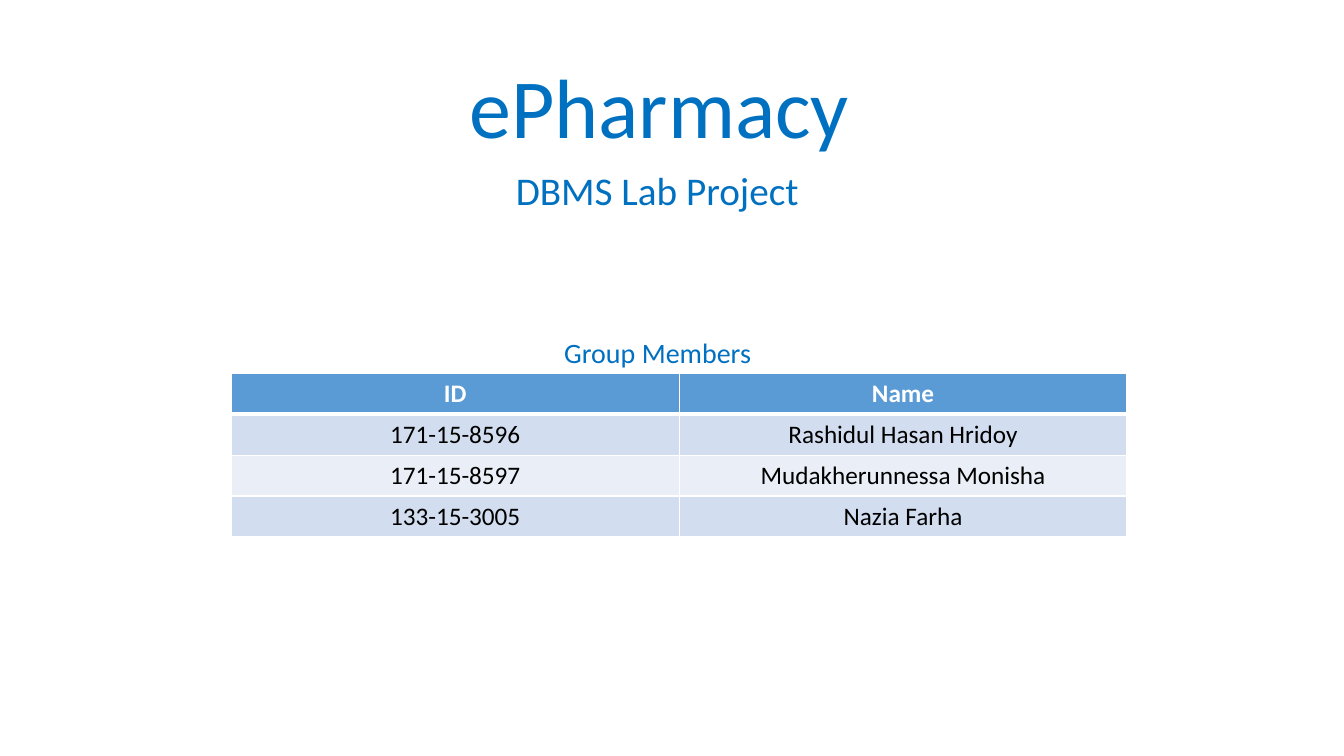
from dataclasses import dataclass

from lxml import etree
from pptx import Presentation
from pptx.dml.color import RGBColor
from pptx.enum.text import PP_ALIGN
from pptx.oxml.ns import qn
from pptx.util import Cm, Pt

CENTER = PP_ALIGN.CENTER
BLANK_LAYOUT = 6


@dataclass(frozen=True)
class Theme:
    font: str = "Calibri"
    heading: str = "0070C0"
    header_fill: str = "5B9BD5"
    header_text: str = "FFFFFF"
    body_text: str = "000000"
    bands: tuple = ("D2DEEF", "EAEFF7")
    border: str = "FFFFFF"
    border_width: float = 1
    header_rule_width: float = 3
    title_size: int = 60
    subtitle_size: int = 28
    caption_size: int = 20
    table_size: int = 18


THEME = Theme()
MEMBERS = [
    ("ID", "Name"),
    ("171-15-8596", "Rashidul Hasan Hridoy"),
    ("171-15-8597", "Mudakherunnessa Monisha"),
    ("133-15-3005", "Nazia Farha"),
]


def style_font(paragraph, size, color, bold=False):
    font = paragraph.font
    font.name = THEME.font
    font.size = Pt(size)
    font.bold = bold
    font.color.rgb = RGBColor.from_string(color)


def add_heading(slide, box, text, size):
    frame = slide.shapes.add_textbox(*map(Cm, box)).text_frame
    frame.word_wrap = True
    frame.text = text
    style_font(frame.paragraphs[0], size, THEME.heading)


def set_borders(cell, widths):
    """Draw the cell's sides; widths maps L, R, T and B to points."""
    properties = cell._tc.get_or_add_tcPr()
    for position, (side, width) in enumerate(widths.items()):
        line = etree.Element(qn(f"a:ln{side}"), w=str(Pt(width)))
        fill = etree.SubElement(line, qn("a:solidFill"))
        etree.SubElement(fill, qn("a:srgbClr"), val=THEME.border)
        properties.insert(position, line)


def add_member_table(slide, box, members):
    table = slide.shapes.add_table(
        len(members), len(members[0]), *map(Cm, box)).table
    for row, member in enumerate(members):
        is_header = row == 0
        fill = THEME.header_fill if is_header else THEME.bands[(row - 1) % 2]
        color = THEME.header_text if is_header else THEME.body_text
        widths = dict.fromkeys("LRTB", THEME.border_width)
        if is_header:
            widths["B"] = THEME.header_rule_width
        elif row == 1:
            widths["T"] = THEME.header_rule_width
        for column, value in enumerate(member):
            cell = table.cell(row, column)
            cell.text = value
            cell.fill.solid()
            cell.fill.fore_color.rgb = RGBColor.from_string(fill)
            set_borders(cell, widths)
            paragraph = cell.text_frame.paragraphs[0]
            paragraph.alignment = CENTER
            style_font(paragraph, THEME.table_size, color, is_header)


def add_cover(slide):
    add_heading(slide, (11.58, 1.24, 10.14, 2.82), "ePharmacy", THEME.title_size)
    add_heading(slide, (12.75, 4.06, 7.78, 1.45), "DBMS Lab Project",
                THEME.subtitle_size)
    add_heading(slide, (13.97, 8.33, 5.34, 1.12), "Group Members",
                THEME.caption_size)
    add_member_table(slide, (5.83, 9.41, 22.57, 4.12), MEMBERS)


def main():
    presentation = Presentation()
    presentation.slide_width = Cm(33.87)
    presentation.slide_height = Cm(19.05)
    layout = presentation.slide_layouts[BLANK_LAYOUT]
    add_cover(presentation.slides.add_slide(layout))
    presentation.save("out.pptx")


if __name__ == "__main__":
    main()
